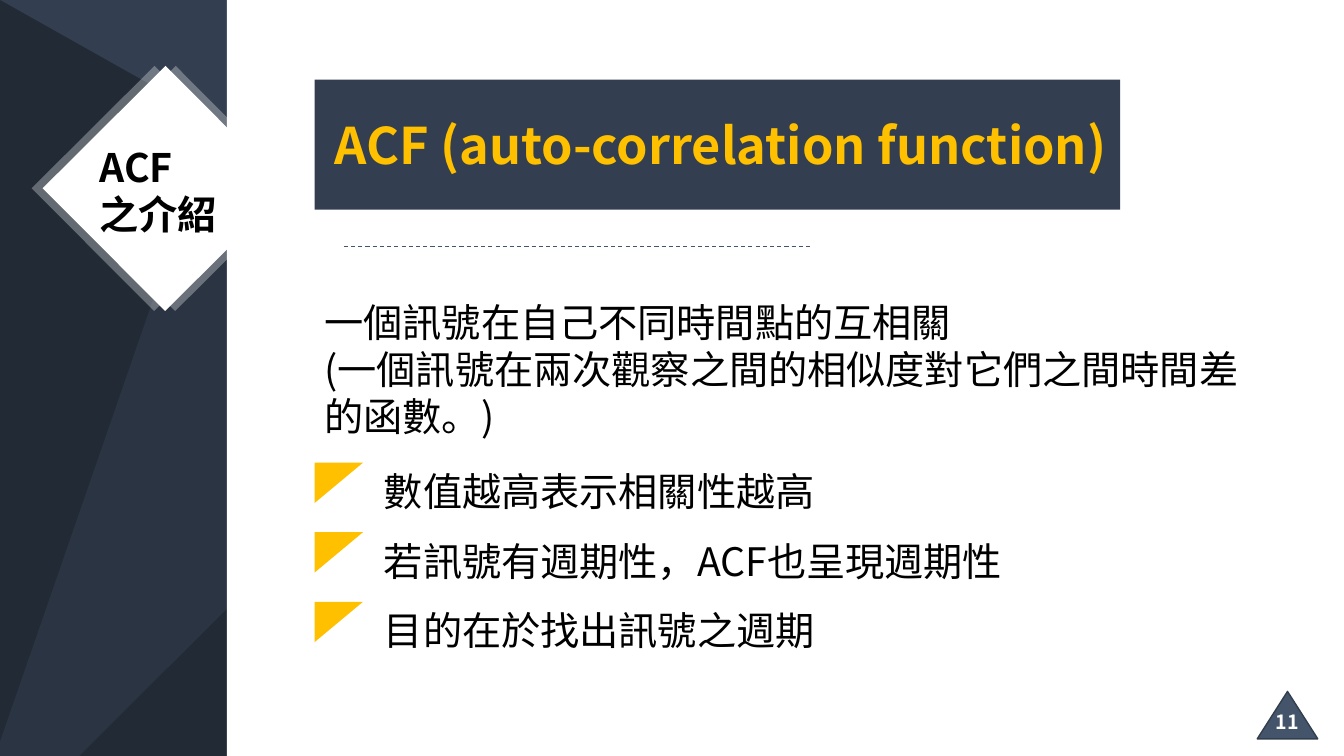
from dataclasses import dataclass

from lxml import etree
from pptx import Presentation
from pptx.dml.color import RGBColor
from pptx.enum.dml import MSO_LINE
from pptx.enum.shapes import MSO_CONNECTOR, MSO_SHAPE
from pptx.enum.text import MSO_AUTO_SIZE, PP_ALIGN
from pptx.oxml.ns import qn
from pptx.util import Inches, Pt

RECTANGLE = MSO_SHAPE.RECTANGLE
TRIANGLE = MSO_SHAPE.ISOSCELES_TRIANGLE
PARALLELOGRAM = MSO_SHAPE.PARALLELOGRAM
STRAIGHT = MSO_CONNECTOR.STRAIGHT
DASH = MSO_LINE.DASH
GROW = MSO_AUTO_SIZE.SHAPE_TO_FIT_TEXT
LEFT, CENTER = PP_ALIGN.LEFT, PP_ALIGN.CENTER


@dataclass(frozen=True)
class Theme:
    font: str = "Noto Sans CJK SC"
    navy: str = "333F50"
    dark: str = "222A35"
    slate: str = "44546A"
    outline: str = "323E4E"
    gold: str = "FFC000"
    white: str = "FFFFFF"
    black: str = "000000"
    title_size: int = 36
    body_size: int = 28
    number_size: int = 14


THEME = Theme()
CONTENT_LEFT = 3.12
POINTS = [
    "數值越高表示相關性越高",
    "若訊號有週期性，ACF也呈現週期性",
    "目的在於找出訊號之週期",
]
FIRST_POINT_TOP = 4.59
POINT_PITCH = 0.69


def add_filled_shape(shapes, kind, box, color, rotation=0, adjustment=None,
                     opacity=None, outline=None):
    shape = shapes.add_shape(kind, *map(Inches, box))
    shape.shadow.inherit = False
    shape.rotation = rotation
    if adjustment is not None:
        shape.adjustments[0] = adjustment
    shape.fill.solid()
    shape.fill.fore_color.rgb = RGBColor.from_string(color)
    if opacity is not None:
        color_element = shape.fill._xPr.find(qn("a:solidFill"))[0]
        alpha = etree.SubElement(color_element, qn("a:alpha"))
        alpha.set("val", str(opacity * 1000))
    if outline:
        shape.line.color.rgb = RGBColor.from_string(outline)
        shape.line.width = Pt(1)
    else:
        shape.line.fill.background()
    return shape


def add_text(shapes, box, text, size, color, bold=False, alignment=LEFT):
    text_box = shapes.add_textbox(*map(Inches, box))
    text_frame = text_box.text_frame
    text_frame.word_wrap = True
    text_frame.auto_size = GROW
    text_frame.text = text
    for paragraph in text_frame.paragraphs:
        paragraph.alignment = alignment
        for run in paragraph.runs:
            font = run.font
            font.name = THEME.font
            font.size = Pt(size)
            font.bold = bold
            font.color.rgb = RGBColor.from_string(color)
            east_asian = etree.SubElement(run._r.get_or_add_rPr(), qn("a:ea"))
            east_asian.set("typeface", THEME.font)


def add_dashed_line(shapes, start, end, color):
    line = shapes.add_connector(STRAIGHT, *map(Inches, start + end))
    line.line.color.rgb = RGBColor.from_string(color)
    line.line.width = Pt(0.75)
    line.line.dash_style = DASH
    etree.SubElement(line._element.spPr, qn("a:effectLst"))


def add_backdrop(slide):
    slide.background.fill.solid()
    slide.background.fill.fore_color.rgb = RGBColor.from_string(THEME.navy)
    shapes = slide.shapes
    add_filled_shape(shapes, TRIANGLE, (0, 0, 13.33, 7.5), THEME.dark, adjustment=0)
    add_filled_shape(shapes, PARALLELOGRAM, (-0.71, 1.68, 14.74, 4.13), THEME.dark,
                     rotation=346.3, opacity=50)
    add_filled_shape(shapes, TRIANGLE, (1.18, -1.16, 5.41, 11.13), THEME.navy,
                     rotation=199.1, adjustment=1, opacity=50)
    add_filled_shape(shapes, RECTANGLE, (2.25, 0, 11.08, 7.5), THEME.white)


def add_section_badge(slide, text):
    shapes = slide.shapes.add_group_shape().shapes
    for left, opacity in ((0.88, 30), (0.67, 30), (0.78, None)):
        add_filled_shape(shapes, RECTANGLE, (left, 1.01, 1.72, 1.72), THEME.white,
                         rotation=45.1, opacity=opacity)
    add_text(shapes, (0.89, 1.37, 1.65, 1.04), text, THEME.body_size,
             THEME.black, bold=True)


def add_title(slide, text):
    add_filled_shape(slide.shapes, RECTANGLE, (CONTENT_LEFT, 0.79, 7.99, 1.29),
                     THEME.navy)
    add_text(slide.shapes, (3.22, 1.08, 7.92, 0.71), text, THEME.title_size,
             THEME.gold, bold=True)
    add_dashed_line(slide.shapes, (3.41, 2.45), (8.03, 2.45), THEME.slate)


def add_point(slide, top, text):
    add_filled_shape(slide.shapes, TRIANGLE, (CONTENT_LEFT, top, 0.48, 0.4),
                     THEME.gold, rotation=180, adjustment=1)
    add_text(slide.shapes, (3.71, top, 7.4, 0.57), text, THEME.body_size, THEME.black)


def add_page_number(slide, number):
    add_filled_shape(slide.shapes, TRIANGLE, (12.47, 6.86, 0.6, 0.47), THEME.slate,
                     outline=THEME.outline)
    add_text(slide.shapes, (12.47, 6.99, 0.6, 0.34), number, THEME.number_size,
             THEME.white, bold=True, alignment=CENTER)


def main():
    presentation = Presentation()
    presentation.slide_width = Inches(13.33)
    presentation.slide_height = Inches(7.5)
    slide = presentation.slides.add_slide(presentation.slide_layouts[6])

    # Sidebar and section name
    add_backdrop(slide)
    add_section_badge(slide, "ACF\n之介紹")

    # Title and definition
    add_title(slide, "ACF (auto-correlation function)")
    add_text(slide.shapes, (CONTENT_LEFT, 2.91, 9.57, 1.51),
             "一個訊號在自己不同時間點的互相關\n"
             "(一個訊號在兩次觀察之間的相似度對它們之間時間差的函數。)",
             THEME.body_size, THEME.black)

    # Key points
    for index, point in enumerate(POINTS):
        add_point(slide, FIRST_POINT_TOP + index * POINT_PITCH, point)

    # Page number
    add_page_number(slide, "11")
    presentation.save("out.pptx")


if __name__ == "__main__":
    main()
